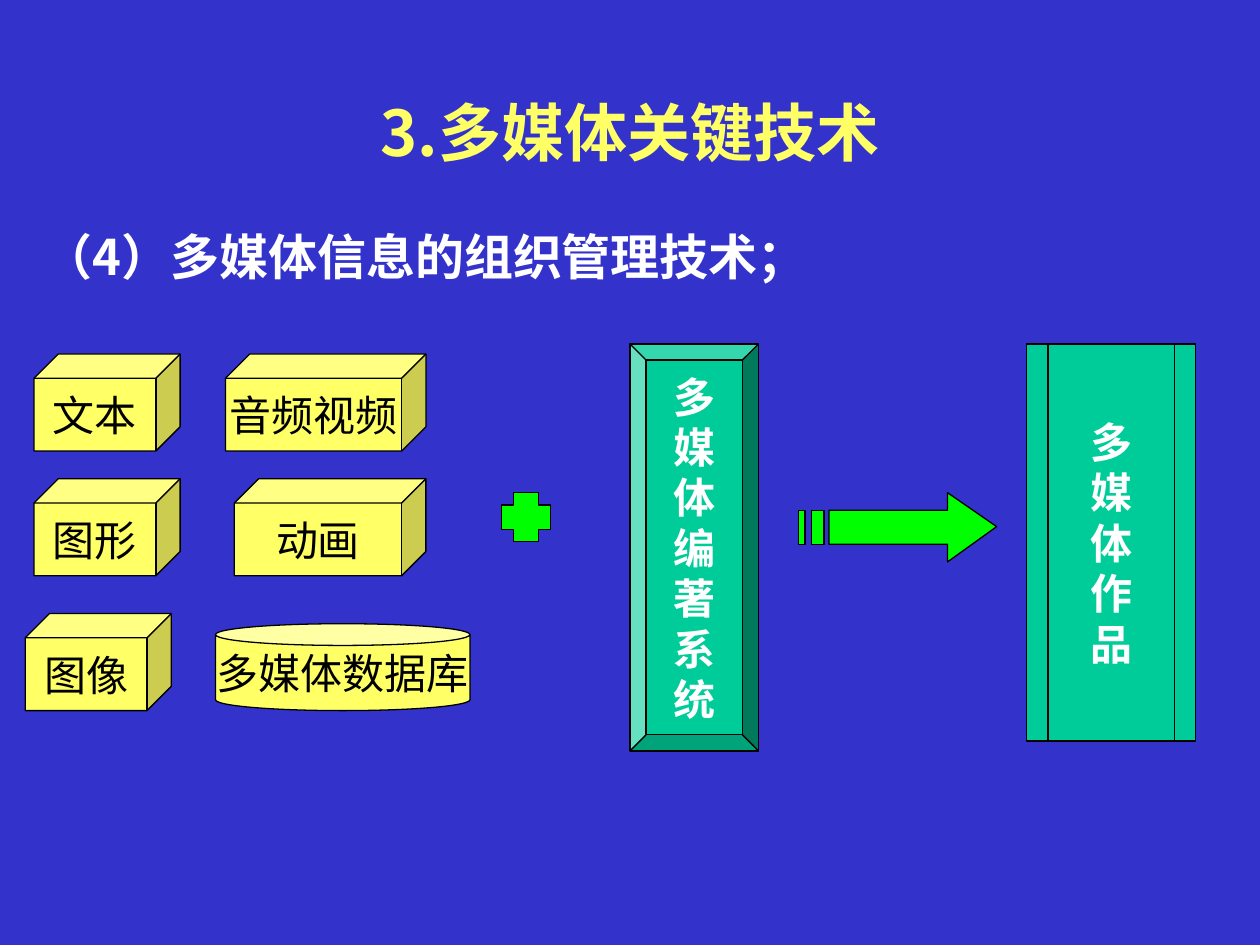
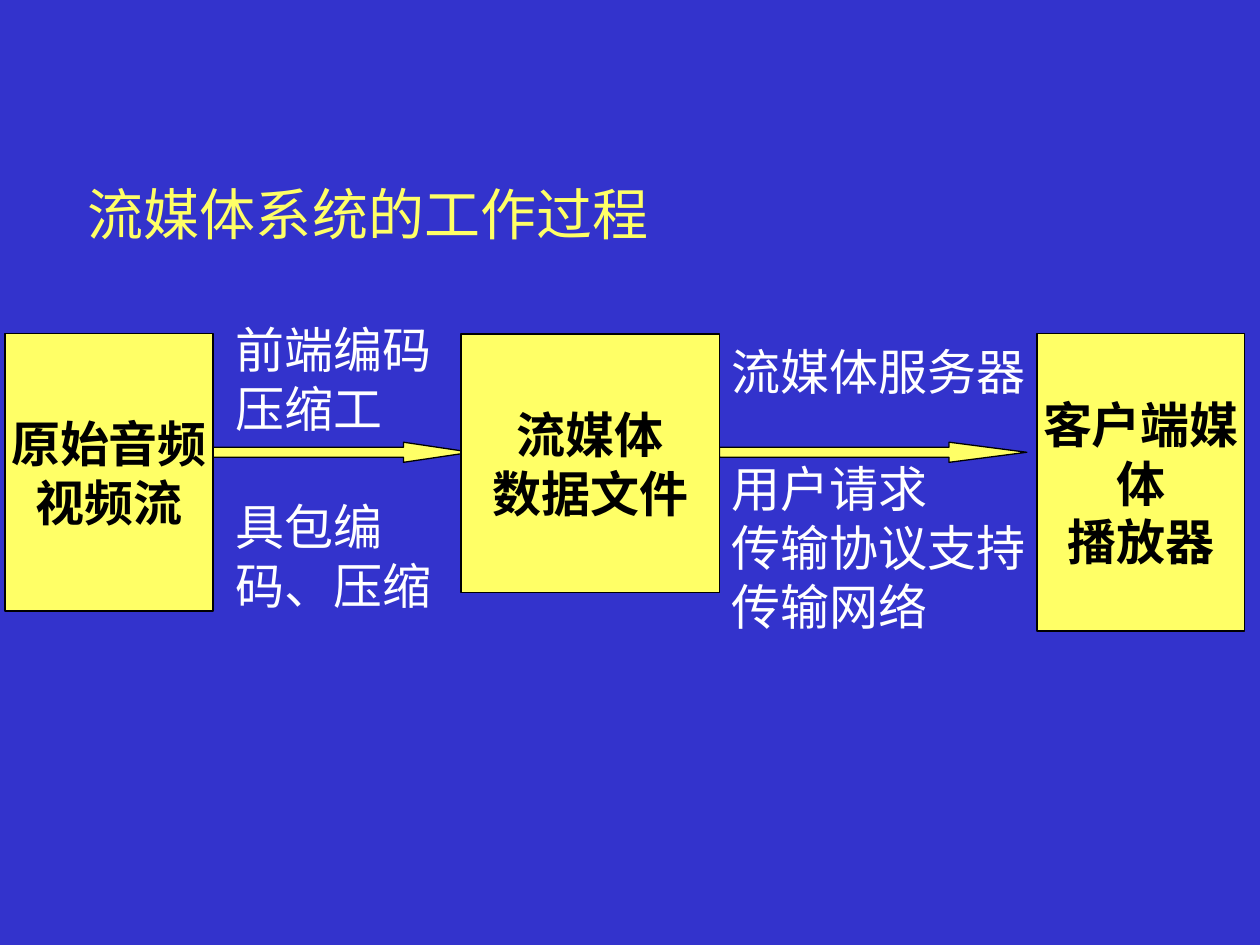
from dataclasses import dataclass

from lxml import etree
from pptx import Presentation
from pptx import util as u
from pptx.dml.color import RGBColor
from pptx.enum import shapes, text
from pptx.oxml import ns

BLUE, YELLOW, TEAL, GREEN = "3333CC", "FFFF66", "00CC99", "00FF00"
BLACK, WHITE = "000000", "FFFFFF"
LATIN, CHINESE = "Times New Roman", "Noto Sans CJK SC"
LINE_HEIGHT = 1.2
Kind = shapes.MSO_SHAPE
LEFT, CENTER = text.PP_ALIGN.LEFT, text.PP_ALIGN.CENTER
TOP, MIDDLE = text.MSO_ANCHOR.TOP, text.MSO_ANCHOR.MIDDLE


@dataclass(frozen=True)
class Box:
    left: float
    top: float
    width: float
    height: float

    def lengths(self) -> list:
        return [u.Inches(n) for n in (self.left, self.top, self.width, self.height)]


@dataclass(frozen=True)
class Style:
    size: float
    color: str
    bold: bool = False
    font: str = LATIN
    align: text.PP_ALIGN = CENTER
    anchor: text.MSO_ANCHOR = MIDDLE
    wrap: bool = False


@dataclass(frozen=True)
class Block:
    kind: Kind
    box: Box
    fill: str
    label: str = ""
    style: Style = Style(24, BLACK)
    adjustments: tuple = ()


TITLE = Style(36, YELLOW, True, CHINESE, wrap=True)
SUBTITLE = Style(32, YELLOW, align=LEFT, wrap=True)
HEADING = Style(28, WHITE, True, CHINESE, LEFT, TOP, True)
NOTE = Style(28, WHITE, align=LEFT, anchor=TOP, wrap=True)
COLUMN = Style(24, WHITE, True)
STAGE = Style(28, BLACK, True)


def rgb(color: str) -> RGBColor:
    return RGBColor.from_string(color)


def write(shape, label: str, style: Style, gap_before: int = -1) -> None:
    frame = shape.text_frame
    frame.text = label
    frame.word_wrap = style.wrap
    frame.vertical_anchor = style.anchor
    for index, paragraph in enumerate(frame.paragraphs):
        paragraph.alignment = style.align
        paragraph.line_spacing = u.Pt(style.size * LINE_HEIGHT)
        if index == gap_before:
            paragraph.space_before = u.Pt(style.size * LINE_HEIGHT)
        paragraph._p.get_or_add_pPr().set("hangingPunct", "0")
        for run in paragraph.runs:
            run.font.size = u.Pt(style.size)
            run.font.bold = style.bold
            run.font.name = style.font
            run.font.color.rgb = rgb(style.color)
            east_asian = etree.SubElement(run._r.get_or_add_rPr(), ns.qn("a:ea"))
            east_asian.set("typeface", CHINESE)


def paint(shape, fill: str) -> None:
    shape.shadow.inherit = False
    shape.fill.solid()
    shape.fill.fore_color.rgb = rgb(fill)
    shape.line.color.rgb = rgb(BLACK)
    shape.line.width = u.Pt(0.75)


def add_block(slide, block: Block) -> None:
    shape = slide.shapes.add_shape(block.kind, *block.box.lengths())
    paint(shape, block.fill)
    for index, value in enumerate(block.adjustments):
        shape.adjustments[index] = value
    if block.label:
        write(shape, block.label, block.style)


def add_text(slide, box: Box, label: str, style: Style, gap_before: int = -1) -> None:
    write(slide.shapes.add_textbox(*box.lengths()), label, style, gap_before)


def add_striped_arrow(slide) -> None:
    upper, lower = 4.05, 4.32
    head = [(7.52, 3.91), (7.52, upper), (6.58, upper), (6.58, lower),
            (7.52, lower), (7.52, 4.46), (7.91, 4.18)]
    stripes = [[(left, upper), (left, lower), (right, lower), (right, upper)]
               for left, right in ((6.44, 6.54), (6.34, 6.39))]
    outlines = [[(u.Inches(x), u.Inches(y)) for x, y in outline] for outline in (head, *stripes)]
    builder = slide.shapes.build_freeform(*outlines[0][0])
    for index, (start, *corners) in enumerate(outlines):
        if index:
            builder.move_to(*start)
        builder.add_line_segments(corners, close=True)
    paint(builder.convert_to_shape(), GREEN)


def add_slide(presentation):
    slide = presentation.slides.add_slide(presentation.slide_layouts[6])
    slide.background.fill.solid()
    slide.background.fill.fore_color.rgb = rgb(BLUE)
    return slide


def build_key_technology(presentation) -> None:
    slide = add_slide(presentation)
    add_text(slide, Box(0.25, 0.5, 9.5, 1.08), "3.多媒体关键技术", TITLE)
    add_text(slide, Box(0.25, 1.75, 9.5, 0.6), "（4）多媒体信息的组织管理技术；", HEADING)
    add_block(slide, Block(Kind.CAN, Box(1.71, 4.95, 2.02, 0.69), YELLOW, "多媒体数据库",
                           adjustments=(0.25,)))
    media = [("文本", 0.27, 2.81, 1.16), ("图形", 0.27, 3.8, 1.16), ("图像", 0.2, 4.87, 1.16),
             ("音频视频", 1.79, 2.81, 1.59), ("动画", 1.86, 3.8, 1.52)]
    for label, left, top, width in media:
        add_block(slide, Block(Kind.CUBE, Box(left, top, width, 0.77), YELLOW, label,
                               adjustments=(0.25,)))
    add_block(slide, Block(Kind.BEVEL, Box(5, 2.73, 1.02, 3.23), TEAL,
                           "\n".join("多媒体编著系统"), COLUMN, (0.125,)))
    add_striped_arrow(slide)
    add_block(slide, Block(Kind.FLOWCHART_PREDEFINED_PROCESS, Box(8.15, 2.73, 1.34, 3.15), TEAL,
                           "\n".join("多媒体作品"), COLUMN))
    add_block(slide, Block(Kind.CROSS, Box(3.98, 3.91, 0.39, 0.39), GREEN, adjustments=(0.25,)))


def build_streaming_process(presentation) -> None:
    slide = add_slide(presentation)
    add_text(slide, Box(0.6, 1.15, 8.9, 1.08), "流媒体系统的工作过程", SUBTITLE)
    for left, width, head in ((1.61, 2.13, 3.36), (5.71, 2.44, 3.86)):
        add_block(slide, Block(Kind.RIGHT_ARROW, Box(left, 3.51, width, 0.16), YELLOW,
                               adjustments=(0.5, head)))
    stages = [("原始音频\n视频流", 0.04, 1.65, 2.2), ("流媒体\n数据文件", 3.66, 2.05, 2.05),
              ("客户端媒\n体\n播放器", 8.23, 1.65, 2.36)]
    for label, left, width, height in stages:
        add_block(slide, Block(Kind.RECTANGLE, Box(left, 2.65, width, height), YELLOW,
                               label, STAGE))
    add_text(slide, Box(1.77, 2.49, 2.05, 2.44), "前端编码压缩工\n具包编码、压缩", NOTE, 1)
    add_text(slide, Box(5.71, 2.66, 2.6, 2.9),
             "流媒体服务器\n用户请求\n传输协议支持\n传输网络", NOTE, 1)


def main() -> None:
    presentation = Presentation()
    presentation.slide_width, presentation.slide_height = u.Inches(10), u.Inches(7.5)
    build_key_technology(presentation)
    build_streaming_process(presentation)
    presentation.save("out.pptx")


if __name__ == "__main__":
    main()
